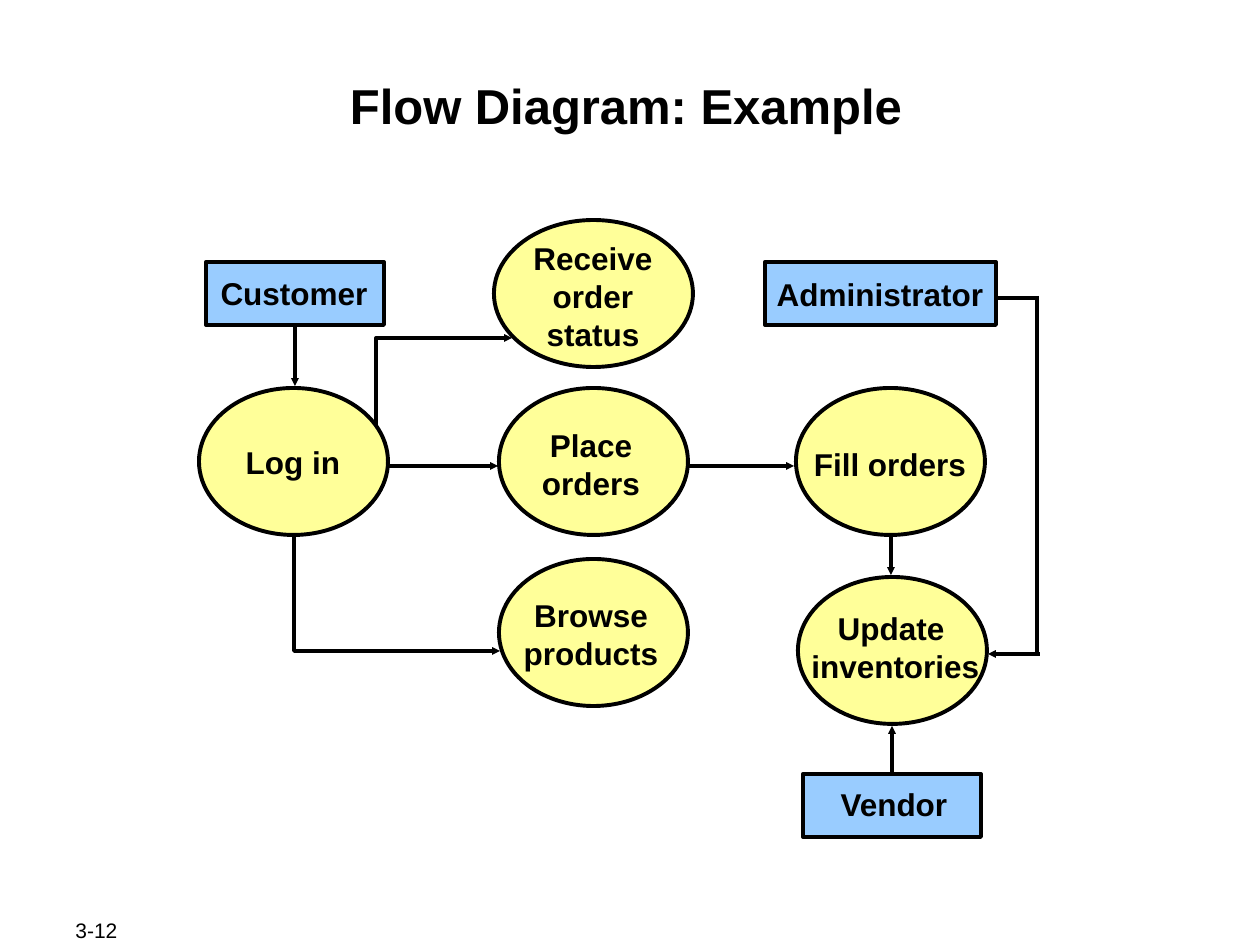
from lxml.etree import SubElement
from pptx import Presentation
from pptx.dml.color import RGBColor
from pptx.enum.shapes import MSO_CONNECTOR, MSO_SHAPE as SHAPE
from pptx.enum.text import MSO_ANCHOR as ANCHOR, MSO_AUTO_SIZE as AUTO, PP_ALIGN as ALIGN
from pptx.oxml.ns import qn
from pptx.util import Inches, Pt

PX = Inches(1) // 126
COLORS = {"ink": "000000", "process": "FFFF99", "actor": "99CCFF"}

prs = Presentation()
prs.slide_width, prs.slide_height = 1260 * PX, 945 * PX
slide = prs.slides.add_slide(prs.slide_layouts[6])
shapes = slide.shapes


def outline(line, arrow=False):
    """Draw a black line, with a small arrowhead at its end if asked for."""
    line.color.rgb = RGBColor.from_string(COLORS["ink"])
    line.width = Pt(2.25)
    if arrow:
        SubElement(line._get_or_add_ln(), qn("a:tailEnd"), type="triangle", w="sm", len="sm")


def write(text, box, size, align=ALIGN.CENTER, before=0, **frame_format):
    label = shapes.add_textbox(*(n * PX for n in box))
    frame = label.text_frame
    for name, value in frame_format.items():
        setattr(frame, name, value)
    paragraph = frame.paragraphs[0]
    paragraph.text = text
    paragraph.alignment = align
    paragraph.space_before = Pt(before)
    font_format = {"name": "Arial", "size": Pt(size), "bold": size > 12}
    for run in paragraph.runs:
        for name, value in font_format.items():
            setattr(run.font, name, value)
        run.font.color.rgb = RGBColor.from_string(COLORS["ink"])


write("Flow Diagram: Example", (122, 74, 1008, 121), 28, before=7, word_wrap=True,
      margin_left=PX, margin_right=PX, margin_top=PX, margin_bottom=PX)
write("3-12", (63, 918, 134, 25), 12, ALIGN.JUSTIFY, word_wrap=True,
      vertical_anchor=ANCHOR.MIDDLE)

# Actors and processes: text, kind, left, top, width, height, label box
OVAL, BOX = (189, 147), (178, 63)
steps = [
    ("Customer", "actor", 206, 262, *BOX, (204, 268, 180, 50)),
    ("Administrator", "actor", 765, 262, 231, 63, (762, 269, 236, 50)),
    ("Vendor", "actor", 803, 774, *BOX, (824, 779, 140, 50)),
    ("Log in", "process", 199, 388, *OVAL, (230, 437, 126, 50)),
    ("Receive\norder\nstatus", "process", 494, 220, 199, 147, (518, 233, 150, 126)),
    ("Place\norders", "process", 499, 388, *OVAL, (526, 420, 130, 88)),
    ("Browse\nproducts", "process", 499, 559, *OVAL, (507, 590, 168, 88)),
    ("Fill orders", "process", 796, 388, *OVAL, (798, 439, 184, 50)),
    ("Update\n inventories", "process", 798, 577, *OVAL, (787, 603, 208, 88)),
]
outlines = {"actor": SHAPE.RECTANGLE, "process": SHAPE.OVAL}
nodes = {}
for text, kind, *place, _ in steps:
    node = shapes.add_shape(outlines[kind], *(n * PX for n in place))
    node.shadow.inherit = False
    node.fill.solid()
    node.fill.fore_color.rgb = RGBColor.from_string(COLORS[kind])
    outline(node.line)
    nodes[text] = node

# Straight flows: start, end, arrowhead, actor and side where the flow starts
flows = [
    ((295, 325), (295, 386), True, ("Customer", 2)),
    ((388, 466), (498, 466), True, None),
    ((689, 466), (794, 466), True, None),
    ((891, 536), (891, 575), True, None),
    ((892, 774), (892, 726), True, ("Vendor", 0)),
    ((996, 298), (1037, 298), False, None),
    ((1037, 296), (1037, 655), False, None),
    ((1040, 654), (988, 654), True, None),
]
for start, end, arrow, source in flows:
    flow = shapes.add_connector(MSO_CONNECTOR.STRAIGHT, *(n * PX for n in start + end))
    outline(flow.line, arrow)
    SubElement(flow._element.spPr, qn("a:effectLst"))
    if source:
        actor, side = source
        flow.begin_connect(nodes[actor], side)

# Bent flows from the login to browsing and to the order status
for start, *bends in [
    [(294, 536), (294, 651), (500, 651)],
    [(376, 426), (376, 338), (512, 338)],
]:
    builder = shapes.build_freeform(*start, scale=PX)
    builder.add_line_segments(bends, close=False)
    bent = builder.convert_to_shape()
    bent.shadow.inherit = False
    bent.fill.background()
    outline(bent.line, arrow=True)

for text, *_, label_box in steps:
    write(text, label_box, 18, before=4.5, word_wrap=False, auto_size=AUTO.SHAPE_TO_FIT_TEXT)

prs.save("out.pptx")
